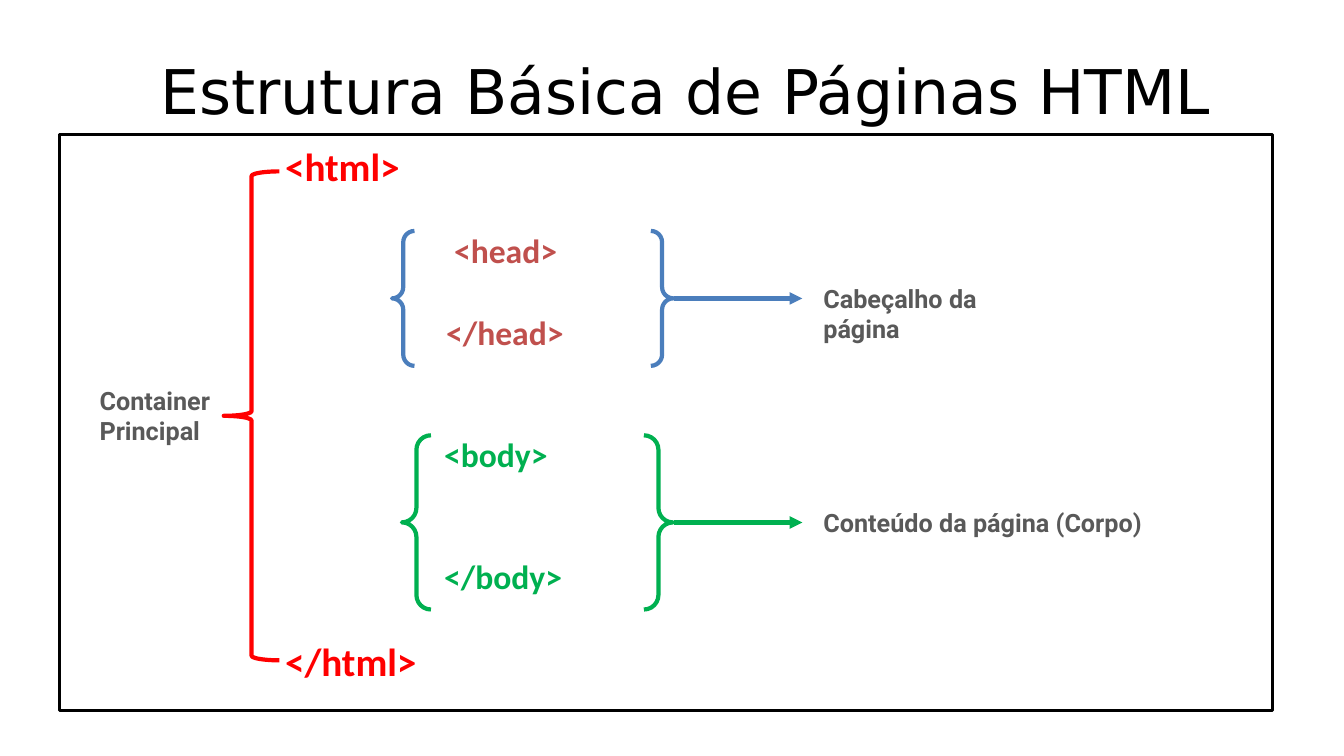
from lxml import etree
from pptx import Presentation
from pptx.dml.color import RGBColor
from pptx.enum import shapes, text
from pptx.oxml.ns import qn
from pptx.util import Cm, Pt

BLACK = RGBColor(0x00, 0x00, 0x00)
RED = RGBColor(0xFF, 0x00, 0x00)
BRICK = RGBColor(0xC0, 0x50, 0x4D)
BLUE = RGBColor(0x4B, 0x7E, 0xBC)
GREEN = RGBColor(0x00, 0xB0, 0x50)
GRAY = RGBColor(0x59, 0x59, 0x59)


def add_outline(kind, left, top, width, height, color, weight):
    outline = slide.shapes.add_shape(kind, Cm(left), Cm(top), Cm(width), Cm(height))
    outline.shadow.inherit = False
    outline.fill.background()
    outline.line.color.rgb = color
    outline.line.width = Pt(weight)


def add_run(paragraph, wording, size, font, color, bold=True):
    run = paragraph.add_run()
    run.text = wording
    run.font.size = Pt(size)
    run.font.name = font
    run.font.color.rgb = color
    run.font.bold = bold


prs = Presentation()
prs.slide_width, prs.slide_height = Cm(33.87), Cm(19.05)
slide = prs.slides.add_slide(prs.slide_layouts[1])

# Title
title = slide.shapes.title
title.left, title.top, title.width, title.height = Cm(2.92), Cm(0.91), Cm(28.75), Cm(2.69)
title.text_frame.auto_size = text.MSO_AUTO_SIZE.NONE
title.text_frame.vertical_anchor = text.MSO_ANCHOR.MIDDLE
heading = title.text_frame.paragraphs[0]
heading.alignment = text.PP_ALIGN.CENTER
add_run(heading, "Estrutura Básica de Páginas HTML", 44, "DejaVu Sans", BLACK, False)

# Tags: wording, size, colour, indent (cm), space before (pt)
tags = [
    ("<html>", 28, RED, 0, 0),
    ("<head>", 24, BRICK, 4.26, 29.3),
    ("</head>", 24, BRICK, 4.06, 29.3),
    ("<body>", 24, GREEN, 4.01, 58.6),
    ("</body>", 24, GREEN, 4.01, 58.6),
    ("</html>", 28, RED, 0, 29.3),
]
tag_list = slide.placeholders[1]
tag_list.left, tag_list.top, tag_list.width, tag_list.height = Cm(6.93), Cm(3.45), Cm(17.98), Cm(14.2)
tag_frame = tag_list.text_frame
tag_frame.auto_size = text.MSO_AUTO_SIZE.NONE
tag_frame.vertical_anchor = text.MSO_ANCHOR.TOP
for number, (tag, size, color, indent, gap) in enumerate(tags):
    line = tag_frame.add_paragraph() if number else tag_frame.paragraphs[0]
    line.space_before = Pt(gap)
    properties = line._p.get_or_add_pPr()
    properties.set("marL", str(Cm(indent)))
    properties.set("indent", "0")
    etree.SubElement(properties, qn("a:buNone"))
    add_run(line, tag, size, "Calibri", color)

# Frame and braces
add_outline(shapes.MSO_SHAPE.RECTANGLE, 1.5, 3.4, 30.56, 14.5, BLACK, 2)
add_outline(shapes.MSO_SHAPE.LEFT_BRACE, 5.64, 4.32, 1.4, 12.32, RED, 3)

# Sections: left, top, width, height of the braces, colour
for left, top, width, height, color in [
    (9.88, 5.82, 7.09, 3.4, BLUE),
    (10.13, 10.97, 6.83, 4.39, GREEN),
]:
    add_outline(shapes.MSO_SHAPE.DOUBLE_BRACE, left, top, width, height, color, 3)
    middle = Cm(top + height / 2)
    arrow = slide.shapes.add_connector(
        shapes.MSO_CONNECTOR.STRAIGHT, Cm(16.99), middle, Cm(20.22), middle)
    arrow.line.color.rgb = color
    arrow.line.width = Pt(3)
    etree.SubElement(arrow.line._get_or_add_ln(), qn("a:tailEnd"), type="triangle")
    etree.SubElement(arrow._element.spPr, qn("a:effectLst"))

# Labels
for wording, left, top, width in [
    ("Cabeçalho da página", 20.5, 7.01, 6.2),
    ("Conteúdo da página (Corpo)", 20.5, 12.65, 8.71),
    ("Container Principal", 2.26, 9.58, 4.22),
]:
    label = slide.shapes.add_textbox(Cm(left), Cm(top), Cm(width), Cm(1.8))
    label.text_frame.word_wrap = True
    add_run(label.text_frame.paragraphs[0], wording, 18, "Roboto", GRAY)

prs.save("out.pptx")
